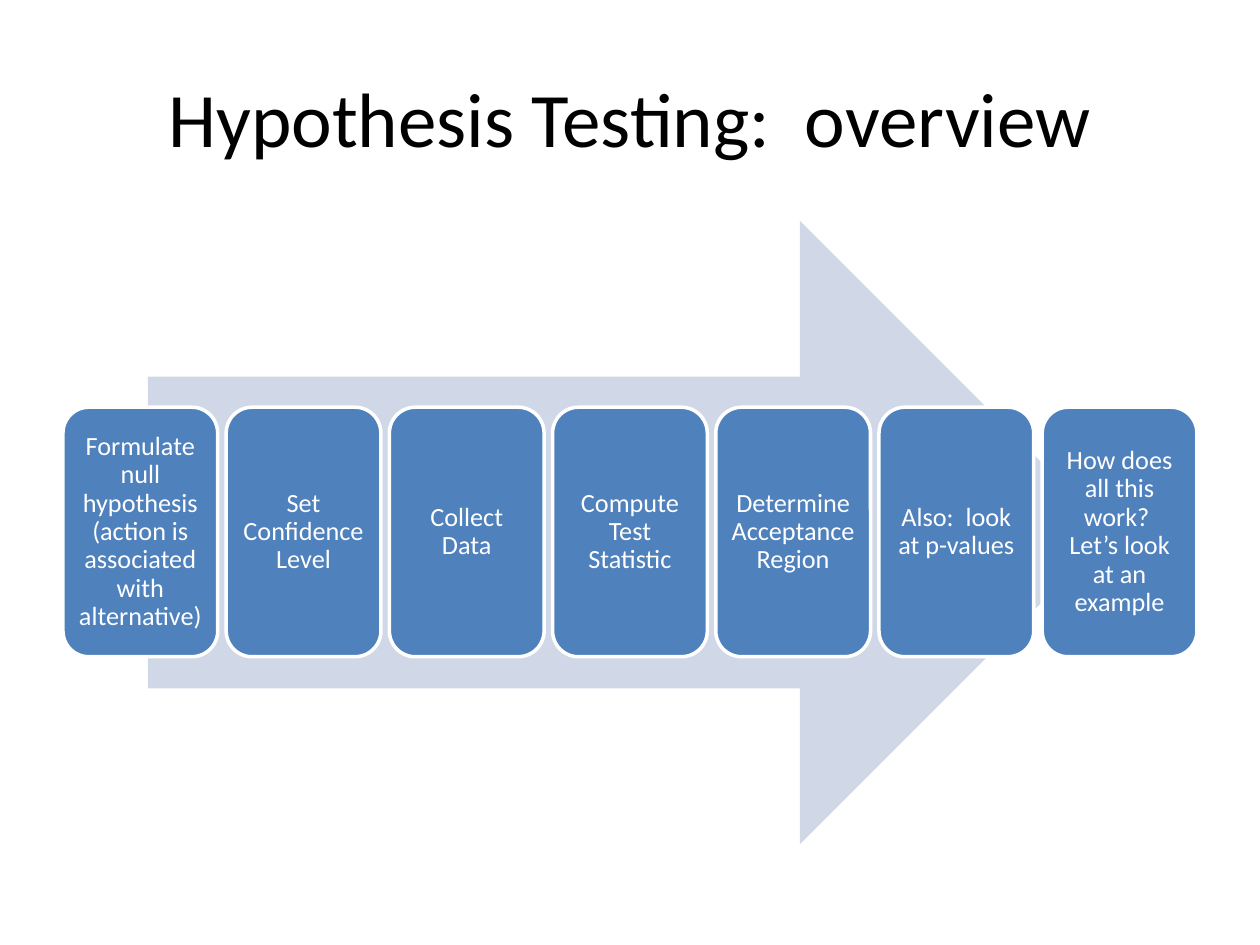
from dataclasses import dataclass

from pptx import Presentation
from pptx.dml.color import RGBColor
from pptx.enum.shapes import MSO_SHAPE as Shape
from pptx.enum.text import MSO_ANCHOR as Anchor, PP_ALIGN as Align
from pptx.util import Cm, Pt


@dataclass(frozen=True)
class Theme:
    font: str = "Calibri"
    title_size: Pt = Pt(44)
    step_size: Pt = Pt(15)
    title_color: RGBColor = RGBColor(0x00, 0x00, 0x00)
    arrow_fill: RGBColor = RGBColor(0xD0, 0xD8, 0xE8)
    step_fill: RGBColor = RGBColor(0x4F, 0x81, 0xBD)
    white: RGBColor = RGBColor(0xFF, 0xFF, 0xFF)


theme = Theme()

STEPS = [
    "Formulate null hypothesis (action is associated with alternative)",
    "Set Confidence Level",
    "Collect Data",
    "Compute Test Statistic",
    "Determine Acceptance Region",
    "Also:  look at p-values",
    "How does all this work?  Let’s look at an example",
]
MARGIN, CONTENT_WIDTH = 1.27, 22.86
STEP_TOP, STEP_WIDTH, STEP_HEIGHT = 8.21, 3.12, 5.03
STEP_PITCH = (CONTENT_WIDTH - STEP_WIDTH) / (len(STEPS) - 1)


def add_filled_shape(kind, left, top, width, height, color):
    shape = slide.shapes.add_shape(kind, Cm(left), Cm(top), Cm(width), Cm(height))
    shape.shadow.inherit = False
    shape.fill.solid()
    shape.fill.fore_color.rgb = color
    return shape


def write_text(shape, text, size, color, frame_format):
    """Put one centred paragraph in the shape and apply the frame settings."""
    frame = shape.text_frame
    frame.text = text
    for name, value in frame_format.items():
        setattr(frame, name, value)
    paragraph = frame.paragraphs[0]
    paragraph.alignment = Align.CENTER
    font = paragraph.runs[0].font
    for name, value in {"name": theme.font, "size": size}.items():
        setattr(font, name, value)
    font.color.rgb = color
    return paragraph


presentation = Presentation()
presentation.slide_width, presentation.slide_height = Cm(25.4), Cm(19.05)
slide = presentation.slides.add_slide(presentation.slide_layouts[5])

title = slide.shapes.title
title.left, title.top = Cm(MARGIN), Cm(0.76)
title.width, title.height = Cm(CONTENT_WIDTH), Cm(3.18)
centred = {"vertical_anchor": Anchor.MIDDLE, "word_wrap": True}
write_text(title, "Hypothesis Testing:  overview",
           theme.title_size, theme.title_color, centred)

arrow = add_filled_shape(Shape.RIGHT_ARROW, 2.98, 4.45, 19.43, 12.57, theme.arrow_fill)
arrow.line.fill.background()

sides = ("left", "top", "right", "bottom")
step_frame = centred | {f"margin_{side}": Cm(0.16) for side in sides}
for index, step in enumerate(STEPS):
    box = add_filled_shape(Shape.ROUNDED_RECTANGLE, MARGIN + index * STEP_PITCH,
                           STEP_TOP, STEP_WIDTH, STEP_HEIGHT, theme.step_fill)
    box.line.color.rgb = theme.white
    box.line.width = Pt(2)
    paragraph = write_text(box, step, theme.step_size, theme.white, step_frame)
    paragraph.line_spacing = 0.9

presentation.save("out.pptx")
